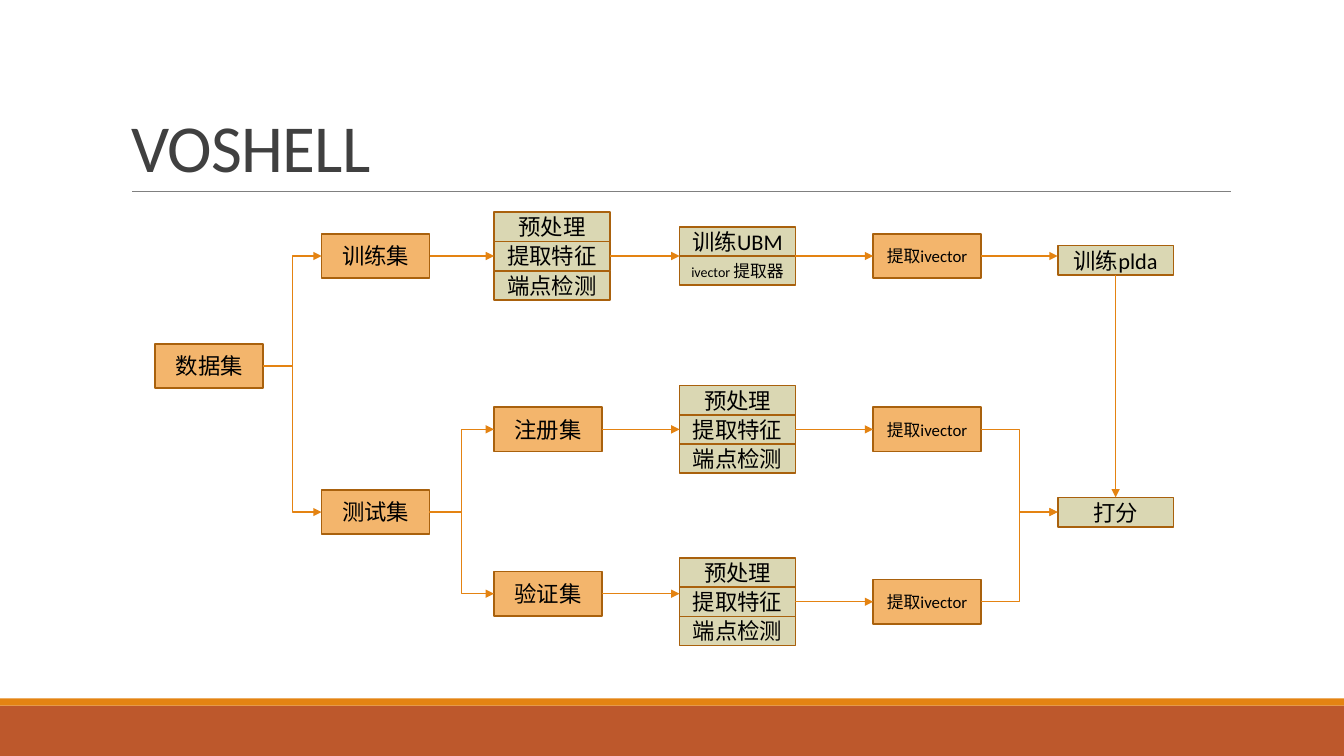
"""Build the speaker-verification flow slide: boxes on a column and row grid, joined by arrows."""
from dataclasses import dataclass

from lxml.etree import SubElement
from pptx import Presentation
from pptx.dml.color import RGBColor
from pptx.enum.shapes import MSO_CONNECTOR as Connector, MSO_SHAPE as Preset
from pptx.enum.text import MSO_ANCHOR as Anchor, MSO_AUTO_SIZE as AutoSize, PP_ALIGN as Align
from pptx.oxml.ns import qn
from pptx.shapes.autoshape import Shape
from pptx.shapes.connector import Connector as ConnectorShape
from pptx.slide import Slide
from pptx.text.text import _Paragraph as Paragraph
from pptx.util import Inches, Pt


@dataclass(frozen=True)
class Theme:
    font: str = "Calibri"
    title: str = "404040"
    text: str = "000000"
    rule: str = "808080"
    band: str = "BD582C"
    accent: str = "E48312"
    border: str = "A9610D"
    data_fill: str = "F3B56C"
    step_fill: str = "DAD7B3"
    title_size: float = 48
    large: float = 16
    medium: float = 12
    small: float = 10
    border_width: float = 1.25
    arrow_width: float = 1
    rule_width: float = 0.5


THEME = Theme()
WIDTH, HEIGHT = 13.33, 7.5
COLUMNS = (1.54, 3.19, 4.9, 6.74, 8.66, 10.49)
ROWS = {"train": 2.54, "plda": 2.58, "data": 3.63, "enrol": 4.26,
        "test": 5.08, "verify": 5.89, "verify_steps": 5.97}


@dataclass(frozen=True)
class Run:
    text: str
    size: float = THEME.large


@dataclass(frozen=True)
class BoxStyle:
    width: float
    height: float
    fill: str


DATA = BoxStyle(1.07, 0.44, THEME.data_fill)
STEP = BoxStyle(1.15, 0.29, THEME.step_fill)


@dataclass(frozen=True)
class Block:
    column: int
    row: str
    style: BoxStyle
    lines: tuple[tuple[Run, ...], ...]

    @property
    def left(self) -> float:
        return COLUMNS[self.column]

    @property
    def right(self) -> float:
        return self.left + self.style.width

    @property
    def center(self) -> float:
        return self.left + self.style.width / 2

    @property
    def middle(self) -> float:
        return ROWS[self.row]

    @property
    def top(self) -> float:
        return self.middle - self.style.height * len(self.lines) / 2

    @property
    def bottom(self) -> float:
        return 2 * self.middle - self.top


FEATURES = ((Run("预处理"),), (Run("提取特征"),), (Run("端点检测"),))
MODEL = ((Run("训练UBM"),), (Run("ivector ", THEME.small), Run("提取器", THEME.medium)))
EXTRACT = ((Run("提取ivector", THEME.medium),),)

BLOCKS = {
    "dataset": Block(0, "data", DATA, ((Run("数据集"),),)),
    "train": Block(1, "train", DATA, ((Run("训练集"),),)),
    "test": Block(1, "test", DATA, ((Run("测试集"),),)),
    "enrol": Block(2, "enrol", DATA, ((Run("注册集"),),)),
    "verify": Block(2, "verify", DATA, ((Run("验证集"),),)),
    "train_features": Block(2, "train", STEP, FEATURES),
    "enrol_features": Block(3, "enrol", STEP, FEATURES),
    "verify_features": Block(3, "verify_steps", STEP, FEATURES),
    "model": Block(3, "train", STEP, MODEL),
    "train_ivector": Block(4, "train", DATA, EXTRACT),
    "enrol_ivector": Block(4, "enrol", DATA, EXTRACT),
    "verify_ivector": Block(4, "verify_steps", DATA, EXTRACT),
    "plda": Block(5, "plda", STEP, ((Run("训练plda"),),)),
    "score": Block(5, "test", STEP, ((Run("打分"),),)),
}

BRANCHES = (("dataset", "train"), ("dataset", "test"), ("test", "enrol"), ("test", "verify"),
            ("enrol_ivector", "score"), ("verify_ivector", "score"))
CHAINS = (("train", "train_features", "model", "train_ivector", "plda"),
          ("enrol", "enrol_features", "enrol_ivector"),
          ("verify", "verify_features", "verify_ivector"))


def color(value: str) -> RGBColor:
    return RGBColor.from_string(value)


def add_run(paragraph: Paragraph, run: Run, text_color: str) -> None:
    piece = paragraph.add_run()
    piece.text = run.text
    piece.font.name = THEME.font
    piece.font.size = Pt(run.size)
    piece.font.color.rgb = color(text_color)


def add_rectangle(slide: Slide, left: float, top: float, width: float, height: float, fill: str) -> Shape:
    shape = slide.shapes.add_shape(Preset.RECTANGLE, Inches(left), Inches(top), Inches(width), Inches(height))
    shape.shadow.inherit = False
    shape.fill.solid()
    shape.fill.fore_color.rgb = color(fill)
    shape.line.fill.background()
    return shape


def add_block(slide: Slide, block: Block) -> None:
    style = block.style
    for index, runs in enumerate(block.lines):
        shape = add_rectangle(slide, block.left, block.top + index * style.height,
                              style.width, style.height, style.fill)
        shape.line.color.rgb = color(THEME.border)
        shape.line.width = Pt(THEME.border_width)
        frame = shape.text_frame
        frame.margin_left = frame.margin_right = frame.margin_top = frame.margin_bottom = 0
        frame.vertical_anchor = Anchor.MIDDLE
        paragraph = frame.paragraphs[0]
        paragraph.alignment = Align.CENTER
        for run in runs:
            add_run(paragraph, run, THEME.text)


def add_line(slide: Slide, kind: Connector, start: tuple[float, float], end: tuple[float, float],
             line_color: str, width: float) -> ConnectorShape:
    line = slide.shapes.add_connector(kind, *(Inches(value) for value in start + end))
    line.line.color.rgb = color(line_color)
    line.line.width = Pt(width)
    SubElement(line._element.spPr, qn("a:effectLst"))
    return line


def add_arrow(slide: Slide, kind: Connector, start: tuple[float, float], end: tuple[float, float]) -> None:
    arrow = add_line(slide, kind, start, end, THEME.accent, THEME.arrow_width)
    SubElement(arrow.line._get_or_add_ln(), qn("a:tailEnd"), type="triangle")


def add_title(slide: Slide, text: str) -> None:
    title = slide.shapes.title
    title.left, title.top, title.width, title.height = (Inches(value) for value in (1.2, 0.31, 11, 1.59))
    frame = title.text_frame
    frame.auto_size = AutoSize.NONE
    frame.vertical_anchor = Anchor.BOTTOM
    paragraph = frame.paragraphs[0]
    paragraph.alignment = Align.LEFT
    paragraph.line_spacing = 0.85
    add_run(paragraph, Run(text, THEME.title_size), THEME.title)
    paragraph.runs[0].font._element.set("spc", "-50")


def main() -> None:
    presentation = Presentation()
    presentation.slide_width, presentation.slide_height = Inches(WIDTH), Inches(HEIGHT)
    slide = presentation.slides.add_slide(presentation.slide_layouts[5])
    add_rectangle(slide, 0, 7, WIDTH, 0.5, THEME.band)
    add_rectangle(slide, 0, 6.93, WIDTH, 0.07, THEME.accent)
    add_line(slide, Connector.STRAIGHT, (1.31, 1.9), (12.21, 1.9), THEME.rule, THEME.rule_width)
    add_title(slide, "VOSHELL")
    for block in BLOCKS.values():
        add_block(slide, block)
    for source, target in BRANCHES:
        start, end = BLOCKS[source], BLOCKS[target]
        add_arrow(slide, Connector.ELBOW, (start.right, start.middle), (end.left, end.middle))
    for chain in CHAINS:
        for source, target in zip(chain, chain[1:]):
            start, end = BLOCKS[source], BLOCKS[target]
            add_arrow(slide, Connector.STRAIGHT, (start.right, start.middle), (end.left, start.middle))
    plda, score = BLOCKS["plda"], BLOCKS["score"]
    add_arrow(slide, Connector.STRAIGHT, (plda.center, plda.bottom), (score.center, score.top))
    presentation.save("out.pptx")


if __name__ == "__main__":
    main()
